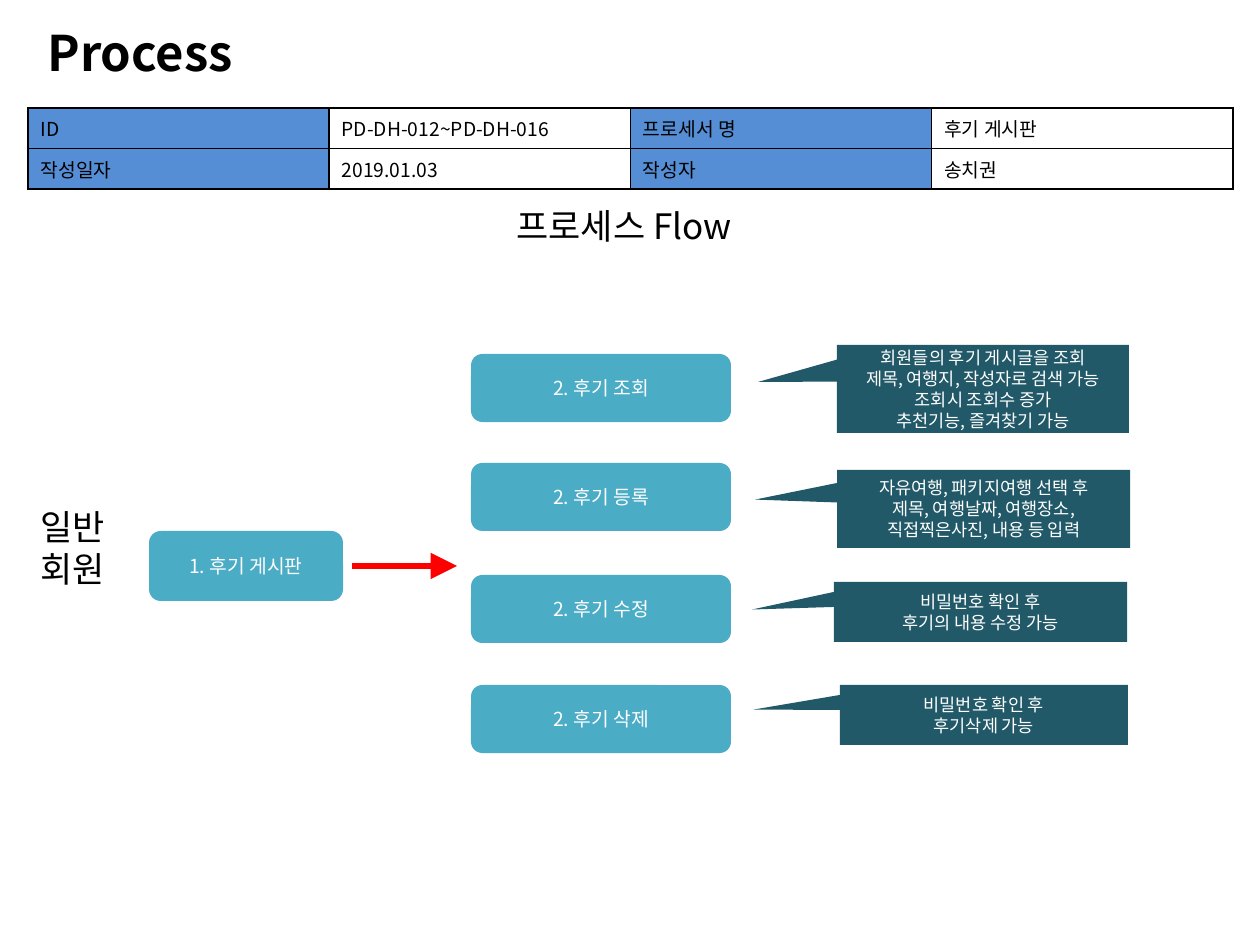
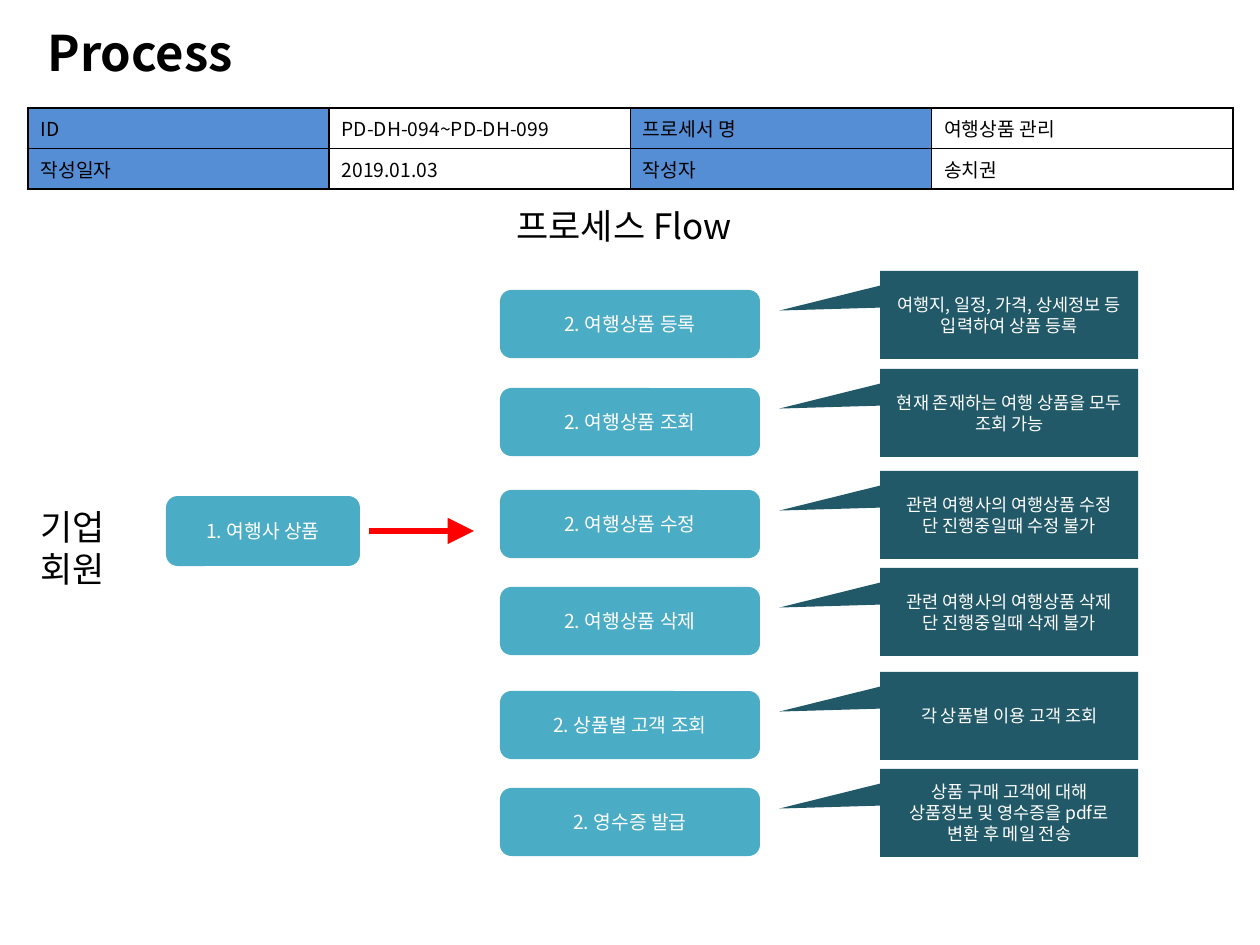
from dataclasses import dataclass

from lxml.etree import SubElement
from pptx import Presentation
from pptx.dml.color import RGBColor
from pptx.enum.shapes import MSO_CONNECTOR as Connector, MSO_SHAPE as Shape
from pptx.enum.text import MSO_ANCHOR as Anchor, MSO_AUTO_SIZE as AutoSize, PP_ALIGN as Align
from pptx.oxml.ns import qn
from pptx.util import Emu, Pt

EMU_PER_PX = 914400 / 126
TITLE_ONLY = 5


@dataclass(frozen=True)
class Theme:
    font: str = "Noto Sans CJK KR"
    black: str = "000000"
    white: str = "FFFFFF"
    header: str = "558ED5"
    step: str = "4BACC6"
    note: str = "215968"
    arrow: str = "FF0000"
    title_size: int = 28
    heading_size: int = 20
    label_size: int = 11
    note_size: int = 10


THEME = Theme()


@dataclass(frozen=True)
class Box:
    left: int
    top: int
    width: int
    height: int


@dataclass(frozen=True)
class Note:
    box: Box
    pointer: tuple[float, float]
    lines: list[str]


@dataclass(frozen=True)
class Step:
    top: int
    label: str
    note: Note


@dataclass(frozen=True)
class Process:
    ids: str
    name: str
    member: str
    start: Box
    start_label: str
    arrow_y: int
    step_left: int
    steps: list[Step]


def px(length: int) -> Emu:
    return Emu(round(length * EMU_PER_PX))


def place(box: Box) -> tuple[Emu, ...]:
    return px(box.left), px(box.top), px(box.width), px(box.height)


def write(frame, lines: list[str], size: int, color: str, align=Align.LEFT,
          bold: bool = False) -> None:
    """Fill a text frame with one paragraph per line."""
    frame.word_wrap = True
    for index, line in enumerate(lines):
        para = frame.paragraphs[0] if index == 0 else frame.add_paragraph()
        para.text = line
        para.alignment = align
        font = para.font
        font.name, font.size, font.bold = THEME.font, Pt(size), bold
        font.color.rgb = RGBColor.from_string(color)
        # Korean text takes the East Asian typeface
        defaults = para._p.pPr.find(qn("a:defRPr"))
        SubElement(defaults, qn("a:ea"), typeface=THEME.font)


def add_title(page, text: str) -> None:
    title = page.shapes.title
    title.left, title.top, title.width, title.height = place(Box(35, 16, 1131, 72))
    frame = title.text_frame
    frame.auto_size = AutoSize.NONE
    frame.vertical_anchor = Anchor.TOP
    write(frame, [text], THEME.title_size, THEME.black, bold=True)


def add_text(page, box: Box, lines: list[str]) -> None:
    frame = page.shapes.add_textbox(*place(box)).text_frame
    write(frame, lines, THEME.heading_size, THEME.black)


def add_block(page, kind: Shape, box: Box, lines: list[str], fill: str, size: int):
    block = page.shapes.add_shape(kind, *place(box))
    block.shadow.inherit = False
    block.fill.solid()
    block.fill.fore_color.rgb = RGBColor.from_string(fill)
    block.line.fill.background()
    block.text_frame.vertical_anchor = Anchor.MIDDLE
    write(block.text_frame, lines, size, THEME.white, Align.CENTER)
    return block


def add_label(page, box: Box, text: str) -> None:
    add_block(page, Shape.ROUNDED_RECTANGLE, box, [text], THEME.step, THEME.label_size)


def add_note(page, note: Note) -> None:
    callout = add_block(page, Shape.RECTANGULAR_CALLOUT, note.box, note.lines,
                        THEME.note, THEME.note_size)
    callout.adjustments[0], callout.adjustments[1] = note.pointer


def add_arrow(page, left: int, right: int, y: int) -> None:
    arrow = page.shapes.add_connector(Connector.STRAIGHT, px(left), px(y), px(right), px(y))
    arrow.line.color.rgb = RGBColor.from_string(THEME.arrow)
    arrow.line.width = Pt(3)
    SubElement(arrow.line._get_or_add_ln(), qn("a:tailEnd"), type="triangle", w="lg", len="lg")
    SubElement(arrow._element.spPr, qn("a:effectLst"))


def add_borders(cell) -> None:
    properties = cell._tc.get_or_add_tcPr()
    for side in ("lnL", "lnR", "lnT", "lnB"):
        border = SubElement(properties, qn(f"a:{side}"), w=str(Pt(1)))
        fill = SubElement(border, qn("a:solidFill"))
        SubElement(fill, qn("a:srgbClr"), val=THEME.black)


def add_info_table(page, rows: list[list[str]]) -> None:
    box = Box(28, 108, 1205, 81)
    table = page.shapes.add_table(len(rows), len(rows[0]), *place(box)).table
    for row_index, row in enumerate(rows):
        for column_index, text in enumerate(row):
            cell = table.cell(row_index, column_index)
            add_borders(cell)
            cell.fill.solid()
            fill = THEME.white if column_index % 2 else THEME.header
            cell.fill.fore_color.rgb = RGBColor.from_string(fill)
            write(cell.text_frame, [text], THEME.label_size, THEME.black)


def add_process(deck, process: Process) -> None:
    page = deck.slides.add_slide(deck.slide_layouts[TITLE_ONLY])
    # Header
    add_title(page, "Process")
    add_info_table(page, [["ID", process.ids, "프로세서 명", process.name],
                          ["작성일자", "2019.01.03", "작성자", "송치권"]])
    add_text(page, Box(504, 198, 253, 55), ["프로세스 Flow"])
    add_text(page, Box(28, 499, 96, 97), [process.member, "회원"])
    # Starting point and arrow
    start = process.start
    add_label(page, start, process.start_label)
    arrow_left = start.left + start.width + 9
    add_arrow(page, arrow_left, arrow_left + 105, process.arrow_y)
    # Steps with their notes
    for step in process.steps:
        add_label(page, Box(process.step_left, step.top, 260, 68), step.label)
        add_note(page, step.note)


def product_step(top: int, label: str, *lines: str) -> Step:
    """A step whose note sits at a fixed offset beside it."""
    return Step(top, label, Note(Box(880, top - 19, 258, 88), (-0.89, -0.05), list(lines)))


REVIEWS = Process(
    "PD-DH-012~PD-DH-016", "후기 게시판", "일반",
    Box(149, 531, 194, 70), "1. 후기 게시판", 566, 471,
    [
        Step(354, "2. 후기 조회", Note(
            Box(837, 345, 292, 88), (-0.77, -0.08),
            ["회원들의 후기 게시글을 조회", "제목, 여행지, 작성자로 검색 가능",
             "조회시 조회수 증가", "추천기능, 즐겨찾기 가능"])),
        Step(463, "2. 후기 등록", Note(
            Box(837, 470, 293, 78), (-0.78, -0.12),
            ["자유여행, 패키지여행 선택 후", "제목, 여행날짜, 여행장소,",
             "직접찍은사진, 내용 등 입력"])),
        Step(575, "2. 후기 수정", Note(
            Box(834, 582, 293, 60), (-0.78, -0.04),
            ["비밀번호 확인 후", "후기의 내용 수정 가능"])),
        Step(685, "2. 후기 삭제", Note(
            Box(840, 685, 288, 60), (-0.8, -0.09),
            ["비밀번호 확인 후", "후기삭제 가능"])),
    ],
)

PRODUCTS = Process(
    "PD-DH-094~PD-DH-099", "여행상품 관리", "기업",
    Box(166, 496, 194, 70), "1. 여행사 상품", 531, 500,
    [
        product_step(290, "2. 여행상품 등록", "여행지, 일정, 가격, 상세정보 등 입력하여 상품 등록"),
        product_step(388, "2. 여행상품 조회", "현재 존재하는 여행 상품을 모두 조회 가능"),
        product_step(490, "2. 여행상품 수정", "관련 여행사의 여행상품 수정", "단 진행중일때 수정 불가"),
        product_step(587, "2. 여행상품 삭제", "관련 여행사의 여행상품 삭제", "단 진행중일때 삭제 불가"),
        product_step(691, "2. 상품별 고객 조회", "각 상품별 이용 고객 조회"),
        product_step(788, "2. 영수증 발급", "상품 구매 고객에 대해", "상품정보 및 영수증을 pdf로",
                     "변환 후 메일 전송"),
    ],
)


def main() -> None:
    deck = Presentation()
    deck.slide_width, deck.slide_height = px(1260), px(945)
    for process in (REVIEWS, PRODUCTS):
        add_process(deck, process)
    deck.save("out.pptx")


if __name__ == "__main__":
    main()
